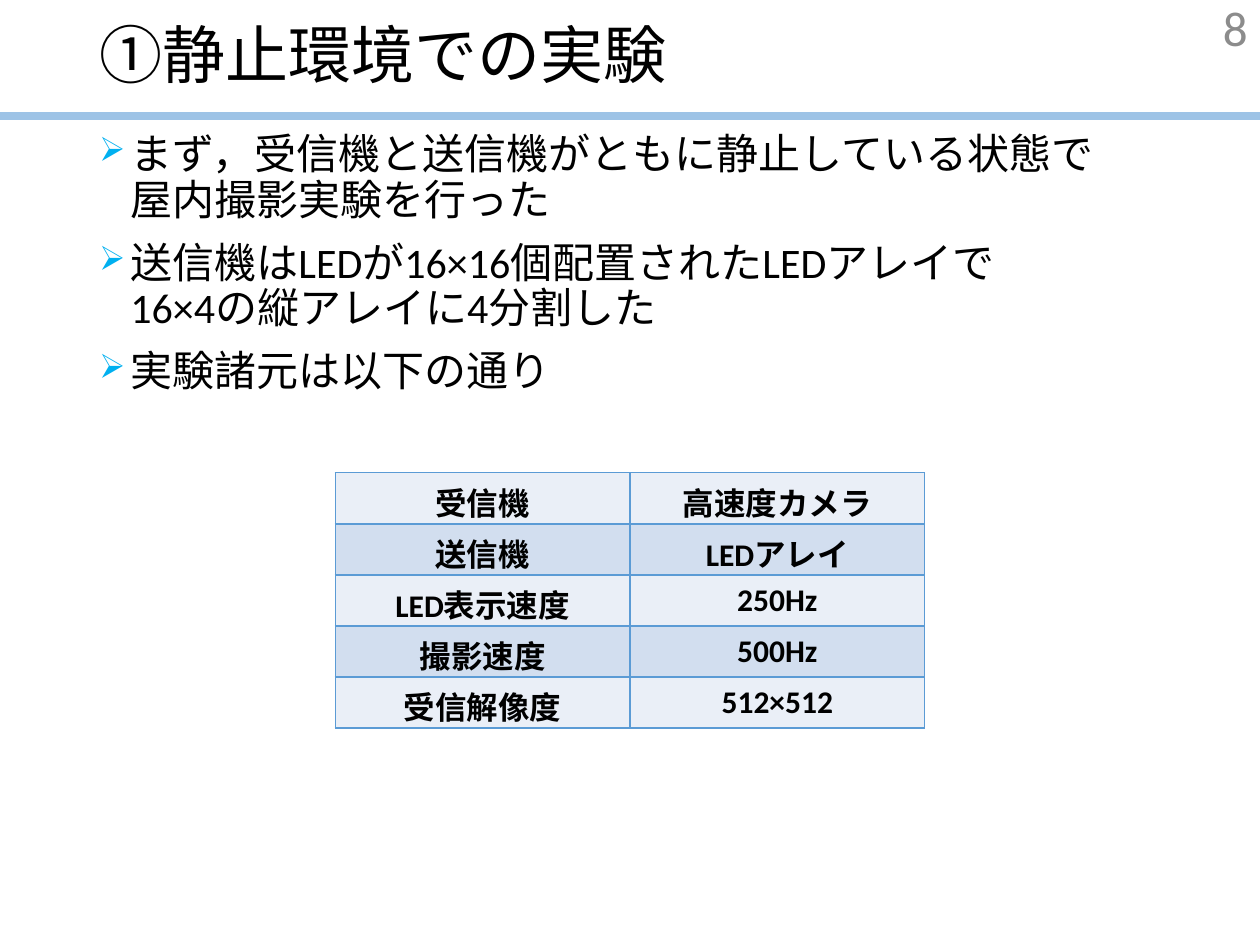
from lxml.etree import SubElement
from pptx import Presentation
from pptx.dml.color import RGBColor
from pptx.enum.shapes import MSO_CONNECTOR
from pptx.enum.text import MSO_ANCHOR, PP_ALIGN
from pptx.oxml.ns import qn
from pptx.util import Cm, Pt

COLORS = {
    "text": "000000",
    "number": "8C8C8C",
    "rule": "9DC3E6",
    "bullet": "00B0F0",
    "border": "5B9BD5",
    "light_row": "EAEFF7",
    "dark_row": "D2DEEF",
}
FONT = "Calibri"
POINTS = [
    "まず，受信機と送信機がともに静止している状態で\v屋内撮影実験を行った",
    "送信機はLEDが16×16個配置されたLEDアレイで\v16×4の縦アレイに4分割した",
    "実験諸元は以下の通り",
]
SPECS = [
    ("受信機", "高速度カメラ"),
    ("送信機", "LEDアレイ"),
    ("LED表示速度", "250Hz"),
    ("撮影速度", "500Hz"),
    ("受信解像度", "512×512"),
]


def rgb(name):
    """Return the palette colour with this name."""
    return RGBColor.from_string(COLORS[name])


def add_bullet(paragraph):
    """Give a paragraph a hanging arrow bullet."""
    properties = paragraph._p.get_or_add_pPr()
    properties.set("marL", str(Cm(0.63)))
    properties.set("indent", str(-Cm(0.63)))
    color = SubElement(properties, qn("a:buClr"))
    SubElement(color, qn("a:srgbClr"), val=COLORS["bullet"])
    SubElement(properties, qn("a:buSzPct"), val="80000")
    SubElement(properties, qn("a:buChar"), char="➢")


def write(frame, lines, size, color="text", bold=False, align=PP_ALIGN.LEFT,
          spacing=None, before=0, bulleted=False):
    """Fill a text frame with one formatted paragraph per line."""
    for index, line in enumerate(lines):
        paragraph = frame.add_paragraph() if index else frame.paragraphs[0]
        paragraph.text = line
        if bulleted:
            add_bullet(paragraph)
        paragraph.alignment = align
        paragraph.line_spacing = spacing
        if index and before:
            paragraph.space_before = Pt(before)
        for run in paragraph.runs:
            run.font.name = FONT
            run.font.size = Pt(size)
            run.font.bold = bold
            run.font.color.rgb = rgb(color)


def add_text(slide, lines, left, top, width, height,
             anchor=MSO_ANCHOR.TOP, **style):
    """Add a wrapping text box."""
    box = slide.shapes.add_textbox(Cm(left), Cm(top), Cm(width), Cm(height))
    box.text_frame.word_wrap = True
    box.text_frame.vertical_anchor = anchor
    write(box.text_frame, lines, **style)


def add_rule(slide, top, width):
    """Draw the horizontal rule below the title."""
    rule = slide.shapes.add_connector(
        MSO_CONNECTOR.STRAIGHT, 0, Cm(top), Cm(width), Cm(top))
    rule.line.color.rgb = rgb("rule")
    rule.line.width = Pt(4.5)
    SubElement(rule._element.spPr, qn("a:effectLst"))


def add_borders(cell):
    """Draw a thin line on all four sides of a cell."""
    properties = cell._tc.get_or_add_tcPr()
    for side in ("lnL", "lnR", "lnT", "lnB"):
        border = SubElement(properties, qn(f"a:{side}"), w=str(Pt(1)))
        fill = SubElement(border, qn("a:solidFill"))
        SubElement(fill, qn("a:srgbClr"), val=COLORS["border"])


def add_spec_table(slide, left, top, width, height):
    """Add the table of experiment settings with alternating rows."""
    table = slide.shapes.add_table(
        len(SPECS), 2, Cm(left), Cm(top), Cm(width), Cm(height)).table
    table.first_row = False
    table.horz_banding = False
    for row, spec in enumerate(SPECS):
        for column, text in enumerate(spec):
            cell = table.cell(row, column)
            add_borders(cell)
            cell.fill.solid()
            cell.fill.fore_color.rgb = rgb("dark_row" if row % 2 else "light_row")
            write(cell.text_frame, [text], size=18, bold=True,
                  align=PP_ALIGN.CENTER)


def main():
    """Build the slide and save it."""
    deck = Presentation()
    deck.slide_width, deck.slide_height = Cm(25.4), Cm(19.05)
    slide = deck.slides.add_slide(deck.slide_layouts[6])
    add_rule(slide, 2.34, 25.4)
    add_text(slide, ["①静止環境での実験"], 1.75, 0, 21.9, 2.34,
             anchor=MSO_ANCHOR.MIDDLE, size=36, spacing=0.9)
    add_text(slide, POINTS, 1.75, 2.57, 21.9, 14.58,
             size=24, spacing=0.9, before=10, bulleted=True)
    add_text(slide, ["8"], 19.69, 0.03, 5.71, 1.02,
             anchor=MSO_ANCHOR.MIDDLE, size=28, color="number",
             align=PP_ALIGN.RIGHT)
    add_spec_table(slide, 6.76, 9.53, 11.88, 5.15)
    deck.save("out.pptx")


if __name__ == "__main__":
    main()
